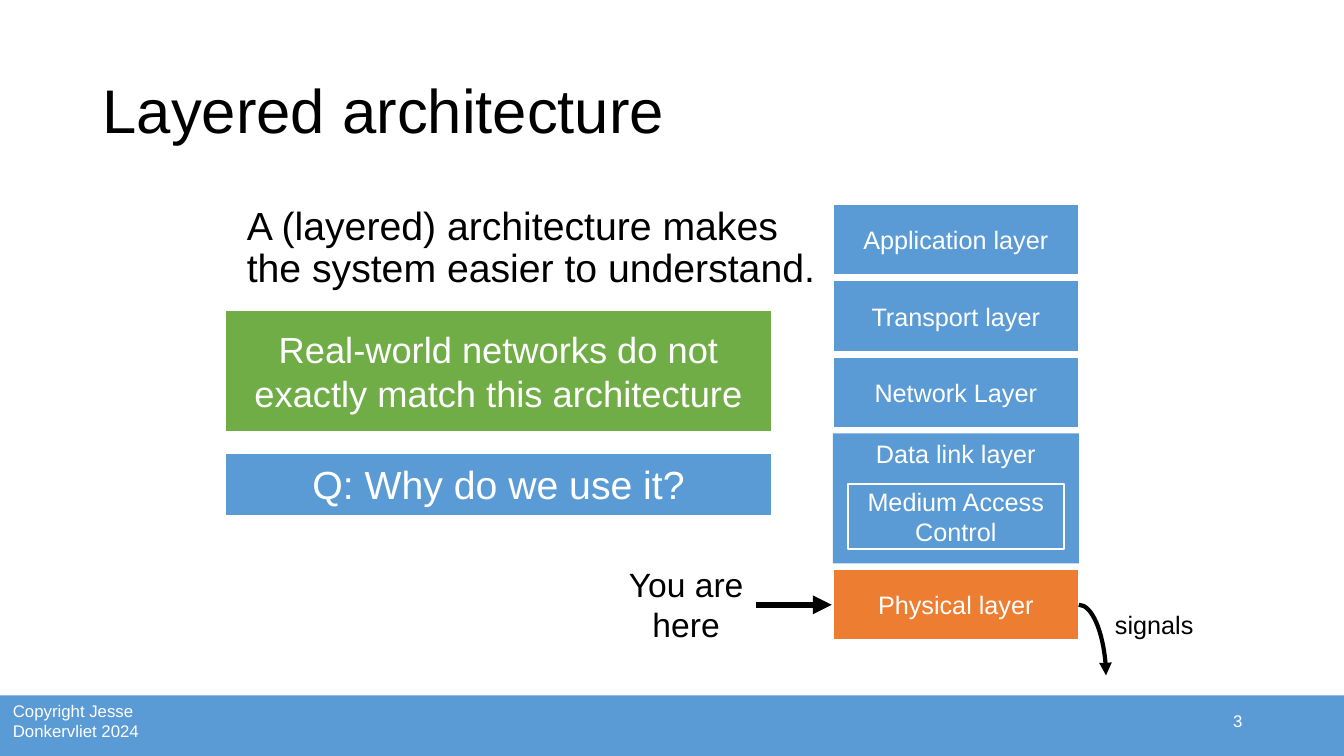
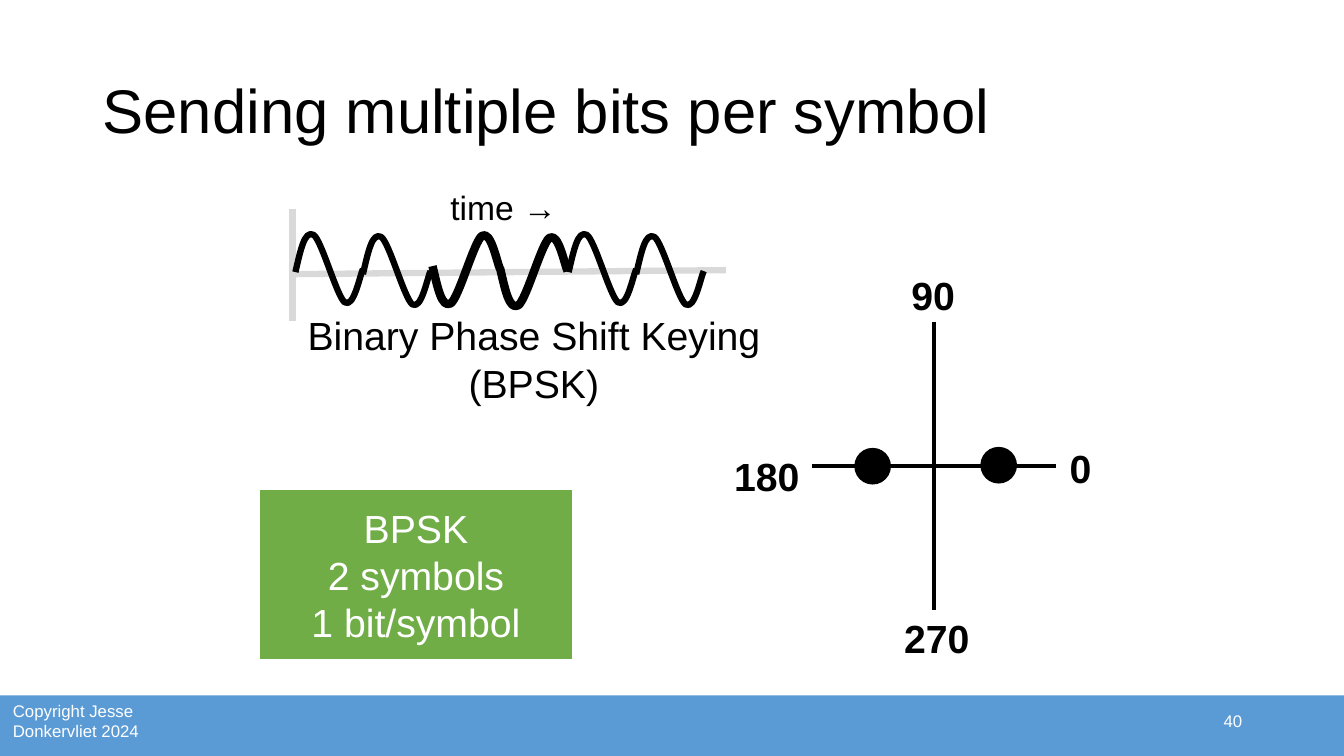
from dataclasses import dataclass

from lxml import etree
from pptx import Presentation
from pptx.dml.color import RGBColor
from pptx.enum.shapes import MSO_CONNECTOR, MSO_SHAPE
from pptx.enum.text import MSO_ANCHOR, PP_ALIGN
from pptx.oxml.ns import qn
from pptx.util import Inches, Pt

RECTANGLE, OVAL = MSO_SHAPE.RECTANGLE, MSO_SHAPE.OVAL
STRAIGHT, CURVE = MSO_CONNECTOR.STRAIGHT, MSO_CONNECTOR.CURVE
LEFT, CENTER, RIGHT = PP_ALIGN.LEFT, PP_ALIGN.CENTER, PP_ALIGN.RIGHT
TOP, MIDDLE = MSO_ANCHOR.TOP, MSO_ANCHOR.MIDDLE


@dataclass(frozen=True)
class Theme:
    font: str = "Arial"
    blue: str = "5B9BD5"
    green: str = "70AD47"
    orange: str = "ED7D31"
    gray: str = "D9D9D9"
    black: str = "000000"
    white: str = "FFFFFF"
    title: float = 44
    body: float = 28
    fitted: float = 25.9
    note: float = 24
    label: float = 18
    footer: float = 12
    border: float = 1.5


THEME = Theme()


@dataclass(frozen=True)
class Block:
    """A text box, or a rectangle when it has a fill."""
    text: str
    left: float
    top: float
    width: float
    height: float
    size: float = THEME.label
    fill: str = ""
    border: bool = True
    color: str = THEME.white
    align: PP_ALIGN = CENTER
    anchor: MSO_ANCHOR = MIDDLE
    bold: bool = False
    spacing: float = 1.0


@dataclass(frozen=True)
class Line:
    start: tuple[float, float]
    end: tuple[float, float]
    width: float
    color: str = THEME.black
    arrow: bool = False
    curved: bool = False


@dataclass(frozen=True)
class Symbol:
    """Two wave periods; direction -1 shifts the phase by 180 degrees."""
    left: float
    top: float
    direction: int
    width: float


def apply_format(target, values: dict) -> None:
    for name, value in values.items():
        setattr(target, name, value)


def draw_block(page, block: Block) -> None:
    area = [Inches(n) for n in (block.left, block.top, block.width, block.height)]
    if block.fill:
        box = page.shapes.add_shape(RECTANGLE, *area)
        box.shadow.inherit = False
        box.fill.solid()
        box.fill.fore_color.rgb = RGBColor.from_string(block.fill)
        if block.border:
            box.line.color.rgb = RGBColor.from_string(THEME.white)
            box.line.width = Pt(THEME.border)
        else:
            box.line.fill.background()
    else:
        box = page.shapes.add_textbox(*area)
    frame = box.text_frame
    apply_format(frame, {"word_wrap": True, "vertical_anchor": block.anchor,
                         "text": block.text})
    for para in frame.paragraphs:
        apply_format(para, {"alignment": block.align, "line_spacing": block.spacing})
        for span in para.runs:
            apply_format(span.font, {"name": THEME.font, "size": Pt(block.size),
                                     "bold": block.bold})
            span.font.color.rgb = RGBColor.from_string(block.color)


def draw_line(page, line: Line) -> None:
    ends = [Inches(n) for n in (*line.start, *line.end)]
    connector = page.shapes.add_connector(CURVE if line.curved else STRAIGHT, *ends)
    connector.line.color.rgb = RGBColor.from_string(line.color)
    connector.line.width = Pt(line.width)
    properties = connector.element.spPr
    if line.curved:
        properties.find(qn("a:prstGeom")).set("prst", "curvedConnector2")
    if line.arrow:
        head = etree.SubElement(properties.get_or_add_ln(), qn("a:tailEnd"))
        head.set("type", "triangle")
    etree.SubElement(properties, qn("a:effectLst"))


def draw_dot(page, left: float, top: float, diameter: float) -> None:
    dot = page.shapes.add_shape(OVAL, *(Inches(n) for n in (left, top, diameter, diameter)))
    dot.shadow.inherit = False
    dot.fill.solid()
    dot.fill.fore_color.rgb = RGBColor.from_string(THEME.black)
    dot.line.color.rgb = RGBColor.from_string(THEME.black)
    dot.line.width = Pt(1)


# One wave period: Bezier points relative to its start, every third on the curve
PERIOD = 0.67
WAVE = ((0, 0), (0.05, -0.21), (0.09, -0.42), (0.18, -0.37), (0.26, -0.32),
        (0.41, 0.24), (0.49, 0.3), (0.58, 0.36), (0.64, 0.03), (0.67, -0.03))


def draw_wave(page, left: float, top: float, symbol: Symbol) -> None:
    points = [(Inches(left + x), Inches(top + symbol.direction * y)) for x, y in WAVE]
    knots = points[::3]
    builder = page.shapes.build_freeform(*knots[0])
    builder.add_line_segments(knots[1:], close=False)
    wave = builder.convert_to_shape()
    wave.shadow.inherit = False
    wave.fill.background()
    wave.line.color.rgb = RGBColor.from_string(THEME.black)
    wave.line.width = Pt(symbol.width)

    # Bend each straight segment into a cubic curve
    for index, segment in enumerate(list(wave.element.iter(qn("a:lnTo")))):
        curve = etree.Element(qn("a:cubicBezTo"))
        for x, y in points[3 * index + 1:3 * index + 4]:
            point = etree.SubElement(curve, qn("a:pt"))
            point.set("x", str(x - wave.left))
            point.set("y", str(y - wave.top))
        segment.getparent().replace(segment, curve)


def draw_symbol(page, symbol: Symbol) -> None:
    for index in range(2):
        draw_wave(page, symbol.left + index * PERIOD, symbol.top + index * 0.02, symbol)


def add_page(deck, title: str, number: int):
    """Add a blank page with the shared title and footer band."""
    page = deck.slides.add_slide(deck.slide_layouts[6])
    for block in (
        Block("", 0, 6.9, 13.33, 0.6, fill=THEME.blue, border=False),
        Block("Copyright Jesse Donkervliet 2024", 0.03, 6.92, 1.47, 0.47,
              THEME.footer, align=LEFT),
        Block(title, 0.92, 0.4, 11.5, 1.45, THEME.title, color=THEME.black,
              align=LEFT, spacing=0.9),
        Block(str(number), 9.42, 6.95, 3, 0.4, THEME.footer, align=RIGHT),
    ):
        draw_block(page, block)
    return page


def build_architecture(deck) -> None:
    page = add_page(deck, "Layered architecture", 3)

    # Statements on the left
    blocks = [
        Block("A (layered) architecture makes the system easier to understand.",
              2.35, 2, 5.89, 4.76, THEME.body, color=THEME.black, align=LEFT,
              anchor=TOP, spacing=0.9),
        Block("Real-world networks do not exactly match this architecture",
              2.23, 3.07, 5.43, 1.22, THEME.fitted, THEME.green),
        Block("Q: Why do we use it?", 2.23, 4.49, 5.43, 0.63, THEME.body, THEME.blue),
    ]

    # Layer stack
    left, top, width, height, pitch = 8.26, 2.02, 2.44, 0.71, 0.76
    names = ("Application layer", "Transport layer", "Network Layer")
    blocks += [Block(name, left, top + row * pitch, width, height, fill=THEME.blue)
               for row, name in enumerate(names)]
    blocks += [
        Block("Data link layer", left, top + len(names) * pitch, width, 1.29,
              fill=THEME.blue, border=False, anchor=TOP),
        Block("Medium Access Control", 8.41, 4.8, 2.14, 0.65, fill=THEME.blue),
        Block("Physical layer", left, 5.64, width, height, fill=THEME.orange),
        Block("You are here", 6.1, 5.64, 1.41, height, THEME.note, THEME.white,
              color=THEME.black),
        Block("signals", 10.96, 6, 1.25, 0.4, color=THEME.black, align=LEFT, anchor=TOP),
    ]
    for block in blocks:
        draw_block(page, block)

    # Arrows at the physical layer
    draw_line(page, Line((7.5, 6), (8.25, 6), 4.5, arrow=True))
    draw_line(page, Line((10.7, 6), (10.97, 6.7), 3, arrow=True, curved=True))


def build_symbols(deck) -> None:
    page = add_page(deck, "Sending multiple bits per symbol", 40)

    # Signal axes, then the constellation axes
    for line in (
        Line((2.9, 2.07), (2.9, 3.18), 4.5, THEME.gray),
        Line((2.9, 2.72), (7.2, 2.68), 4.5, THEME.gray),
        Line((8.05, 4.62), (10.47, 4.62), 3),
        Line((9.26, 3.19), (9.26, 6.05), 3),
    ):
        draw_line(page, line)

    # Modulated signal
    for symbol in (Symbol(2.93, 2.7, 1, 4.5), Symbol(5.64, 2.7, 1, 4.5),
                   Symbol(4.29, 2.64, -1, 6)):
        draw_symbol(page, symbol)

    # Constellation points
    for left, top in ((8.48, 4.45), (9.73, 4.44)):
        draw_dot(page, left, top, 0.35)

    # Angle labels
    for angle, left, top, width in (("0", 10.51, 4.36, 0.34), ("180", 7.16, 4.44, 0.89),
                                    ("90", 8.83, 2.64, 0.85), ("270", 8.73, 6.05, 1.12)):
        draw_block(page, Block(angle, left, top, width, 0.57, THEME.body,
                               color=THEME.black, anchor=TOP, bold=True))

    # Captions
    for block in (
        Block("time →", 4.28, 1.95, 1.43, 0.2, THEME.note, color=THEME.black),
        Block("Binary Phase Shift Keying (BPSK)", 2.45, 3.23, 5.69, 0.66,
              THEME.body, color=THEME.black),
        Block("BPSK\n2 symbols\n1 bit/symbol", 2.57, 4.85, 3.11, 1.7,
              THEME.body, THEME.green),
    ):
        draw_block(page, block)


def main() -> None:
    deck = Presentation()
    deck.slide_width, deck.slide_height = Inches(13.33), Inches(7.5)
    build_architecture(deck)
    build_symbols(deck)
    deck.save("out.pptx")


if __name__ == "__main__":
    main()
